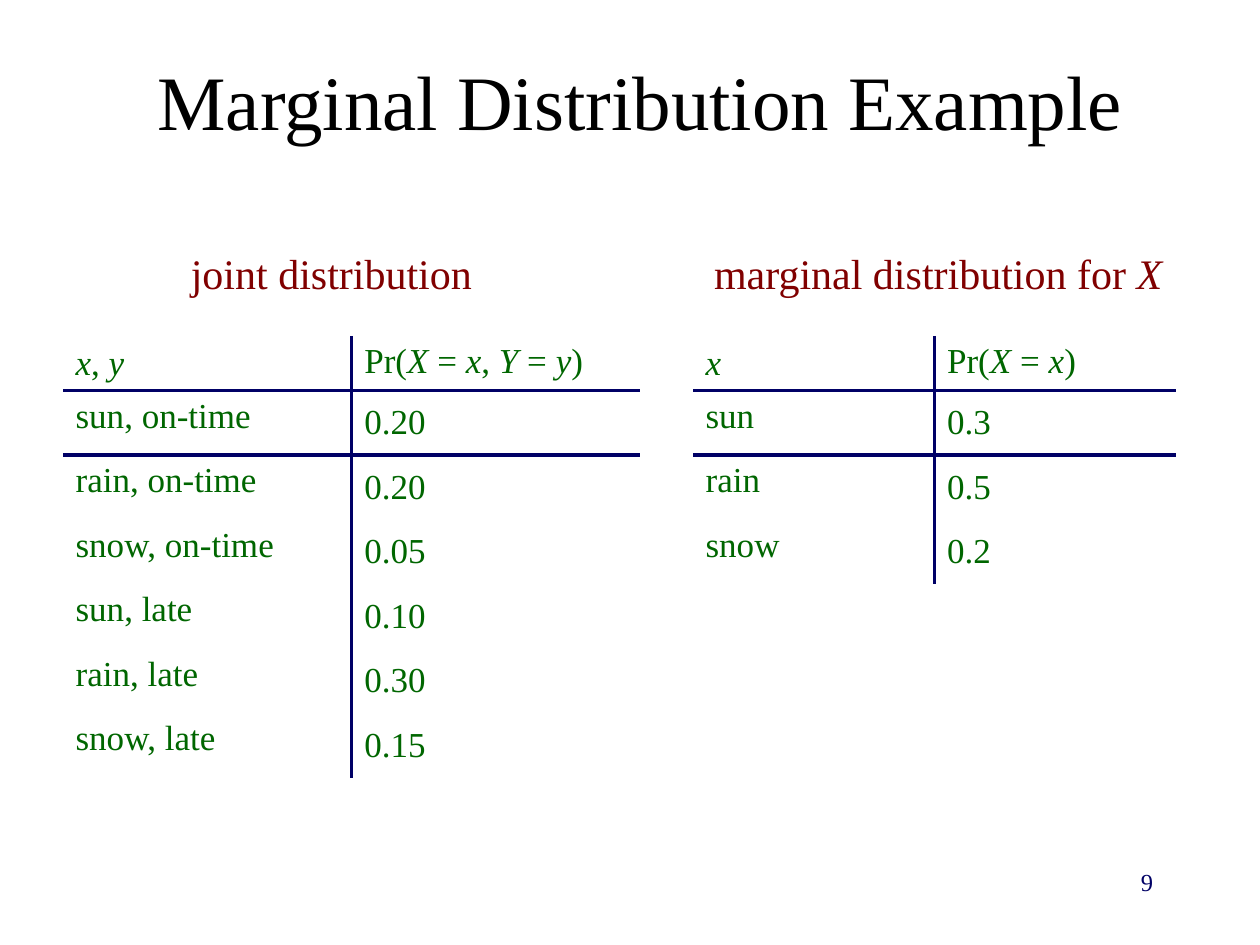
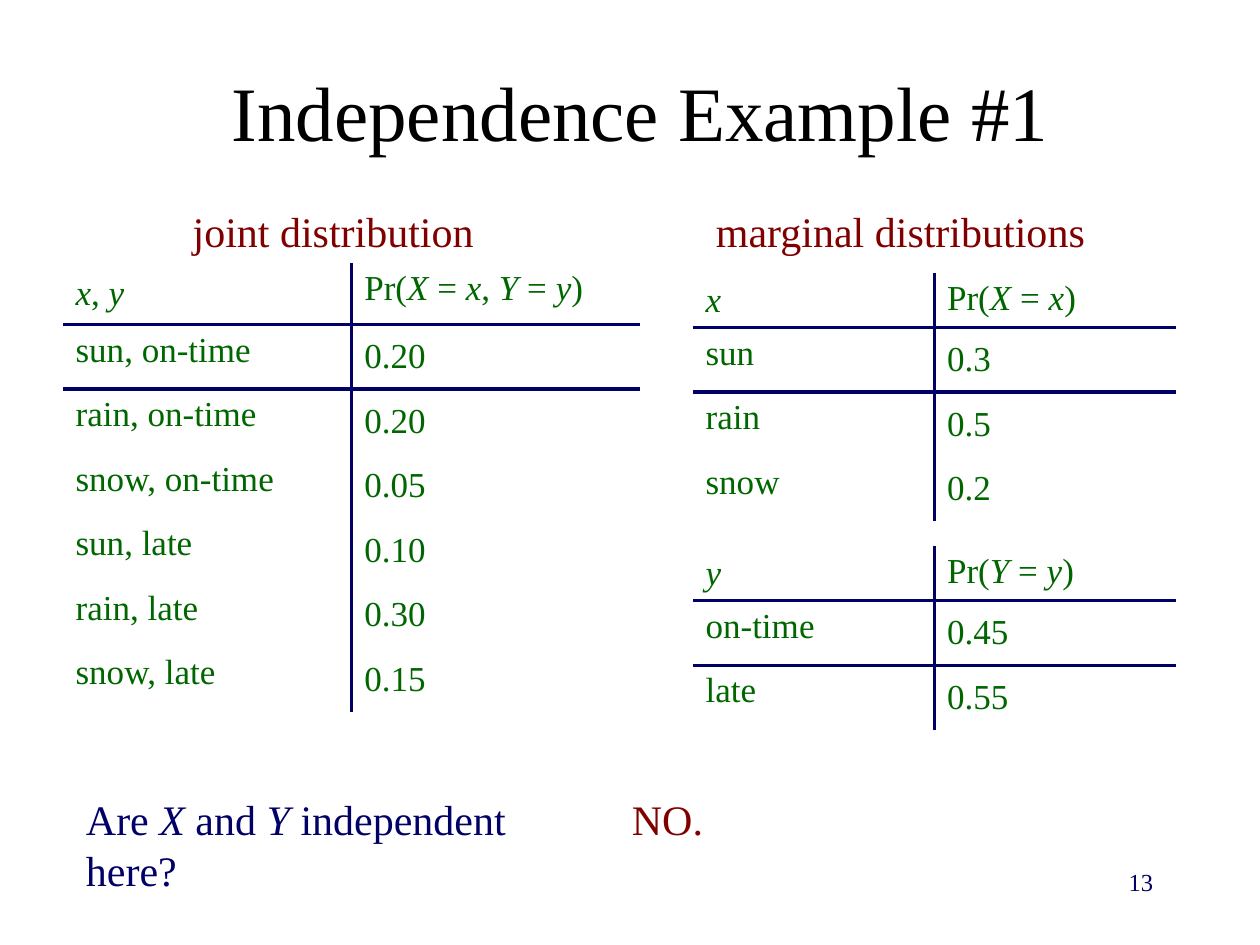
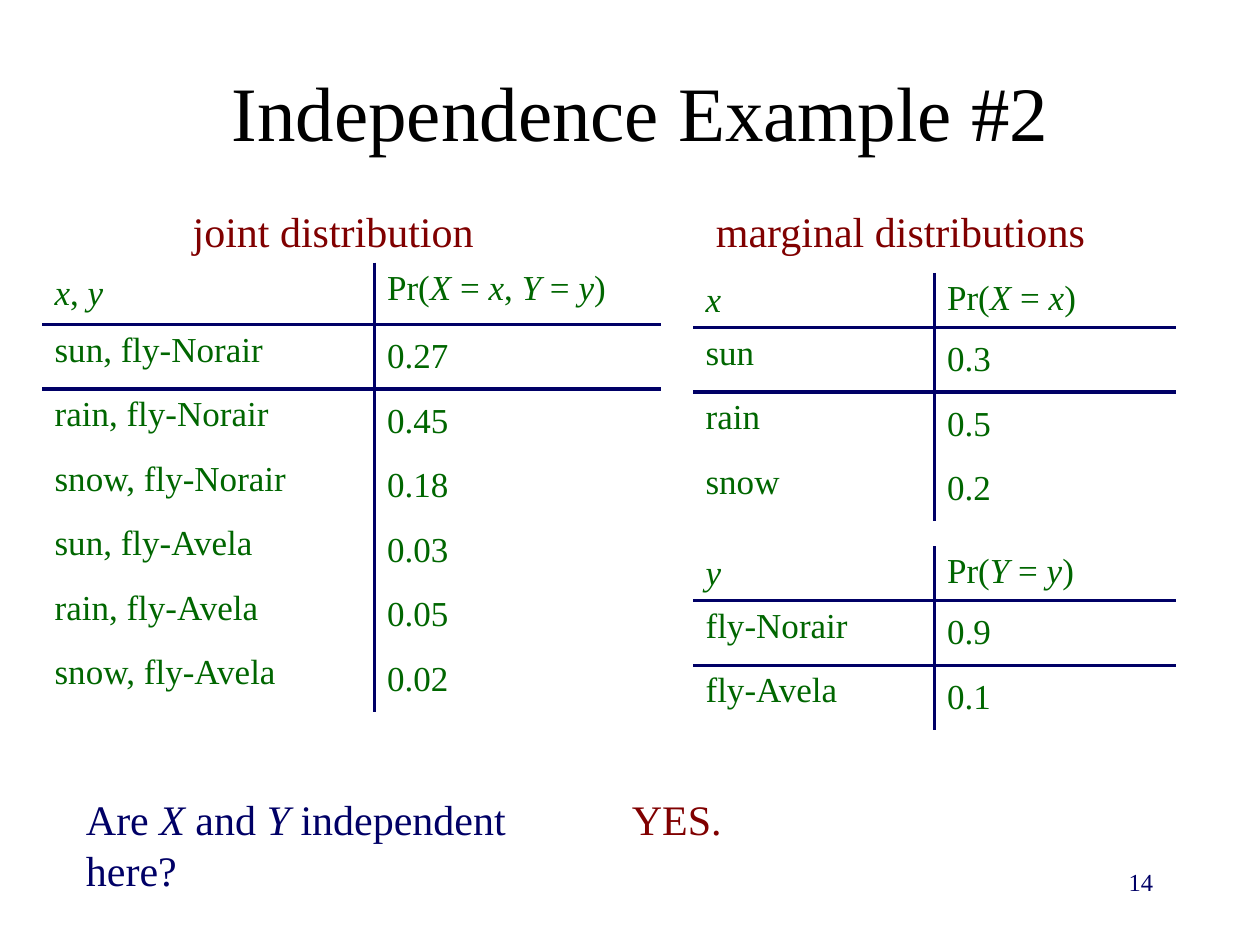
from lxml.etree import SubElement
from pptx import Presentation
from pptx.dml.color import RGBColor
from pptx.enum.text import MSO_ANCHOR as Anchor, MSO_AUTO_SIZE as AutoSize, PP_ALIGN as Align
from pptx.oxml.ns import qn
from pptx.util import Pt

FONT = "Times New Roman"
BLACK, NAVY, GREEN, MAROON = "000000", "000066", "006600", "800000"
NO_STYLE_NO_GRID = "{2D5ABB26-0587-4C30-8999-92F81FD0307C}"
RULE_WIDTH = 2.25
BODY_ROW = 36.9
LINE_BOX = 36
MARGINAL_LEFT, MARGINAL_COLUMNS = 396, (138, 138)

# Text between asterisks is italic.
JOINT_HEAD = ("*x*, *y*", "Pr(*X* = *x*, *Y* = *y*)")
X_HEAD = ("*x*", "Pr(*X* = *x*)")
Y_HEAD = ("*y*", "Pr(*Y* = *y*)")
QUESTION = "Are *X* and *Y* independent here?"

WEATHER = [("sun", "0.3"), ("rain", "0.5"), ("snow", "0.2")]
ARRIVAL = [("on-time", "0.45"), ("late", "0.55")]
AIRLINE = [("fly-Norair", "0.9"), ("fly-Avela", "0.1")]
ARRIVAL_JOINT = ["0.20", "0.20", "0.05", "0.10", "0.30", "0.15"]
AIRLINE_JOINT = ["0.27", "0.45", "0.18", "0.03", "0.05", "0.02"]

INDEPENDENCE_EXAMPLES = [
    dict(title="Independence Example #1", number="13", y_values=ARRIVAL,
         joint=ARRIVAL_JOINT, joint_left=36, joint_columns=(165, 165),
         answer="NO.", answer_width=55),
    dict(title="Independence Example #2", number="14", y_values=AIRLINE,
         joint=AIRLINE_JOINT, joint_left=24, joint_columns=(190, 164),
         answer="YES.", answer_width=66),
]


def rgb(color):
    return RGBColor.from_string(color)


def write(paragraph, text, size, color):
    """Fill the paragraph; every second piece between asterisks is italic."""
    for index, piece in enumerate(text.split("*")):
        if piece:
            run = paragraph.add_run()
            run.text = piece
            font = run.font
            font.name, font.size, font.italic = FONT, Pt(size), index % 2 == 1
            font.color.rgb = rgb(color)


def add_line_of_text(slide, text, left, top, width, color=MAROON):
    box = slide.shapes.add_textbox(Pt(left), Pt(top), Pt(width), Pt(LINE_BOX))
    box.text_frame.word_wrap = False
    box.text_frame.auto_size = AutoSize.SHAPE_TO_FIT_TEXT
    write(box.text_frame.paragraphs[0], text, 24, color)


def add_rule(cell, side):
    """Draw one cell border; side is L, R, T or B."""
    line = SubElement(cell._tc.get_or_add_tcPr(), qn(f"a:ln{side}"), w=str(Pt(RULE_WIDTH)))
    SubElement(SubElement(line, qn("a:solidFill")), qn("a:srgbClr"), val=NAVY)


def add_distribution(slide, head, values, left, top, columns, head_row=31):
    """Add a table with a rule under the head and one between the columns."""
    rows = [head, *values]
    heights = [head_row] + [BODY_ROW] * len(values)
    frame = slide.shapes.add_table(len(rows), len(columns), Pt(left), Pt(top),
                                   Pt(sum(columns)), Pt(sum(heights)))
    table = frame.table
    table.first_row = table.horz_banding = False
    table._tbl.tblPr.find(qn("a:tableStyleId")).text = NO_STYLE_NO_GRID
    for column, width in zip(table.columns, columns):
        column.width = Pt(width)
    for r, (row, height) in enumerate(zip(rows, heights)):
        table.rows[r].height = Pt(height)
        for c, text in enumerate(row):
            cell = table.cell(r, c)
            write(cell.text_frame.paragraphs[0], text, 20, GREEN)
            # Head outcomes and body probabilities are centred, the rest sit on top.
            centred = (r == 0) == (c == 0)
            cell.vertical_anchor = Anchor.MIDDLE if centred else Anchor.TOP
            add_rule(cell, "R" if c == 0 else "L")
            if r < 2:
                add_rule(cell, "B" if r == 0 else "T")
            cell.fill.background()


def joint_values(y_values, probabilities):
    outcomes = [f"{x}, {y}" for y, _ in y_values for x, _ in WEATHER]
    return list(zip(outcomes, probabilities))


def add_slide(deck, title, title_top, number):
    slide = deck.slides.add_slide(deck.slide_layouts[5])
    heading = slide.shapes.title
    heading.left, heading.top, heading.width, heading.height = Pt(60), Pt(title_top), Pt(612), Pt(90)
    heading.text_frame.vertical_anchor = Anchor.MIDDLE
    paragraph = heading.text_frame.paragraphs[0]
    paragraph.alignment = Align.CENTER
    paragraph.text = title
    font = paragraph.runs[0].font
    font.name, font.size, font.color.rgb = FONT, Pt(44), rgb(BLACK)

    footer = slide.shapes.add_textbox(Pt(516), Pt(492), Pt(150), Pt(LINE_BOX))
    footer.text_frame.word_wrap = True
    footer.text_frame.paragraphs[0].alignment = Align.RIGHT
    write(footer.text_frame.paragraphs[0], number, 14, NAVY)
    return slide


def add_marginal_example(deck):
    slide = add_slide(deck, "Marginal Distribution Example", 12, "9")
    add_distribution(slide, JOINT_HEAD, joint_values(ARRIVAL, ARRIVAL_JOINT), 36, 192, (165, 165))
    add_distribution(slide, X_HEAD, WEATHER, MARGINAL_LEFT, 192, MARGINAL_COLUMNS)
    add_line_of_text(slide, "joint distribution", 102, 138, 175)
    add_line_of_text(slide, "marginal distribution for *X*", 401, 138, 271)


def add_independence_example(deck, example):
    slide = add_slide(deck, example["title"], 18, example["number"])
    y_values = example["y_values"]
    add_distribution(slide, JOINT_HEAD, joint_values(y_values, example["joint"]),
                     example["joint_left"], 150, example["joint_columns"], head_row=35.5)
    add_distribution(slide, X_HEAD, WEATHER, MARGINAL_LEFT, 156, MARGINAL_COLUMNS)
    add_distribution(slide, Y_HEAD, y_values, MARGINAL_LEFT, 312, MARGINAL_COLUMNS)
    add_line_of_text(slide, "joint distribution", 103, 114, 175)
    add_line_of_text(slide, "marginal distributions", 402, 114, 226)
    add_line_of_text(slide, QUESTION, 42, 450, 312, NAVY)
    add_line_of_text(slide, example["answer"], 354, 450, example["answer_width"])


def main():
    deck = Presentation()
    deck.slide_width, deck.slide_height = Pt(720), Pt(540)
    add_marginal_example(deck)
    for example in INDEPENDENCE_EXAMPLES:
        add_independence_example(deck, example)
    deck.save("out.pptx")


if __name__ == "__main__":
    main()
